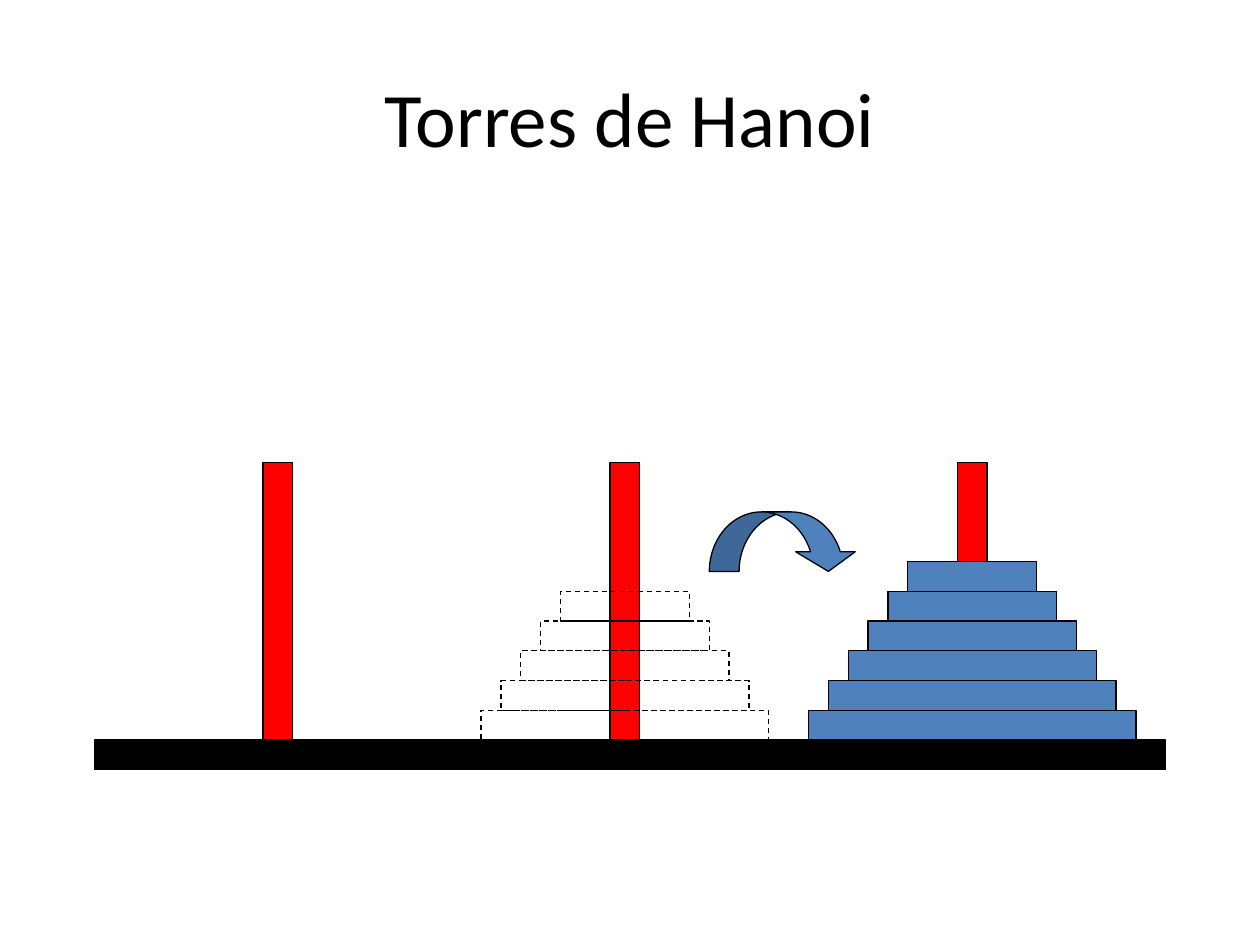
from pptx import Presentation
from pptx.dml.color import RGBColor
from pptx.enum.dml import MSO_LINE
from pptx.enum.shapes import MSO_SHAPE as Shape
from pptx.enum.text import MSO_ANCHOR as Anchor, PP_ALIGN as Align
from pptx.util import Cm, Inches, Pt

GRID = 0.2  # cm per grid cell; all drawing lengths count cells
BASE_TOP = 74.6
BASE_CENTER = 63.5
LEFT_PEG, MIDDLE_PEG, RIGHT_PEG = 28, 63, 98
THICKNESS = 3
PEG_HEIGHT = 28
LARGEST_DISK, SMALLEST_DISK, DISK_STEP = 33, 13, 4
BLACK, RED, BLUE = "000000", "FF0000", "4F81BD"


def color(hex_string):
    return RGBColor.from_string(hex_string)


def cells(count):
    return Cm(count * GRID)


class HanoiSlide:
    def __init__(self, deck):
        self.deck = deck
        self.slide = deck.slides.add_slide(deck.slide_layouts[6])
        self.font = "Calibri"
        self.outline = Pt(0.75)

    def title(self, wording):
        width, height = self.deck.slide_width, self.deck.slide_height
        box = self.slide.shapes.add_textbox(
            int(width * 0.05), int(height * 0.04), int(width * 0.9), int(height / 6))
        frame = box.text_frame
        frame.word_wrap = True
        frame.vertical_anchor = Anchor.MIDDLE
        frame.text = wording
        paragraph = frame.paragraphs[0]
        paragraph.alignment = Align.CENTER
        font = paragraph.runs[0].font
        font.name, font.size = self.font, Pt(44)
        font.color.rgb = color(BLACK)

    def block(self, center, rise, width, height, fill=None, preset=Shape.RECTANGLE):
        """Draw a block whose bottom is `rise` cells above the base; no fill means dashed."""
        block = self.slide.shapes.add_shape(
            preset, cells(center - width / 2), cells(BASE_TOP - rise - height),
            cells(width), cells(height))
        block.shadow.inherit = False
        block.line.width = self.outline
        block.line.color.rgb = color(BLACK)
        if fill:
            block.fill.solid()
            block.fill.fore_color.rgb = color(fill)
        else:
            block.fill.background()
            block.line.dash_style = MSO_LINE.DASH
        return block

    def base(self):
        self.block(BASE_CENTER, -THICKNESS, 108, THICKNESS, BLACK)

    def peg(self, center, hidden=0):
        """Draw the part of a peg that shows above `hidden` cells of disks."""
        self.block(center, hidden, THICKNESS, PEG_HEIGHT - hidden, RED)

    def tower(self, center, largest, fill=None):
        """Stack disks from the largest to the smallest and return the height."""
        widths = range(largest, SMALLEST_DISK - 1, -DISK_STEP)
        for level, width in enumerate(widths):
            self.block(center, level * THICKNESS, width, THICKNESS, fill)
        return len(widths) * THICKNESS

    def move_arrow(self):
        arrow = self.block(79, 17, 15, 6, BLUE, Shape.CURVED_DOWN_ARROW)
        for index, share in enumerate((0.5, 1, 0.33)):
            arrow.adjustments[index] = share


def main():
    deck = Presentation()
    deck.slide_width, deck.slide_height = Inches(10), Inches(7.5)
    hanoi = HanoiSlide(deck)
    hanoi.title("Torres de Hanoi")
    hanoi.base()
    tower_height = hanoi.tower(RIGHT_PEG, LARGEST_DISK, BLUE)
    hanoi.peg(LEFT_PEG)
    hanoi.peg(MIDDLE_PEG)
    hanoi.peg(RIGHT_PEG, hidden=tower_height)
    hanoi.move_arrow()
    hanoi.tower(MIDDLE_PEG, LARGEST_DISK - DISK_STEP)
    deck.save("out.pptx")


if __name__ == "__main__":
    main()
